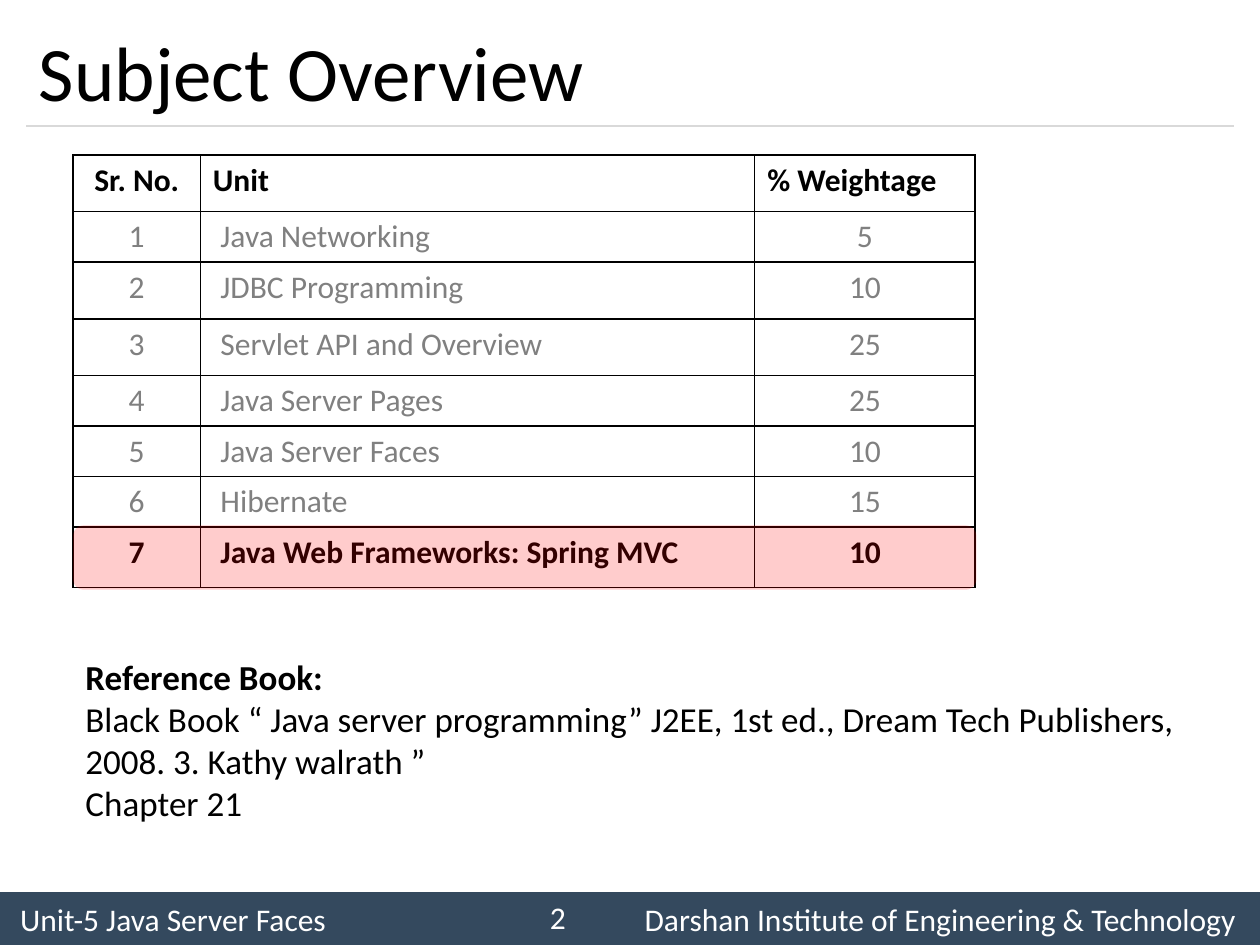
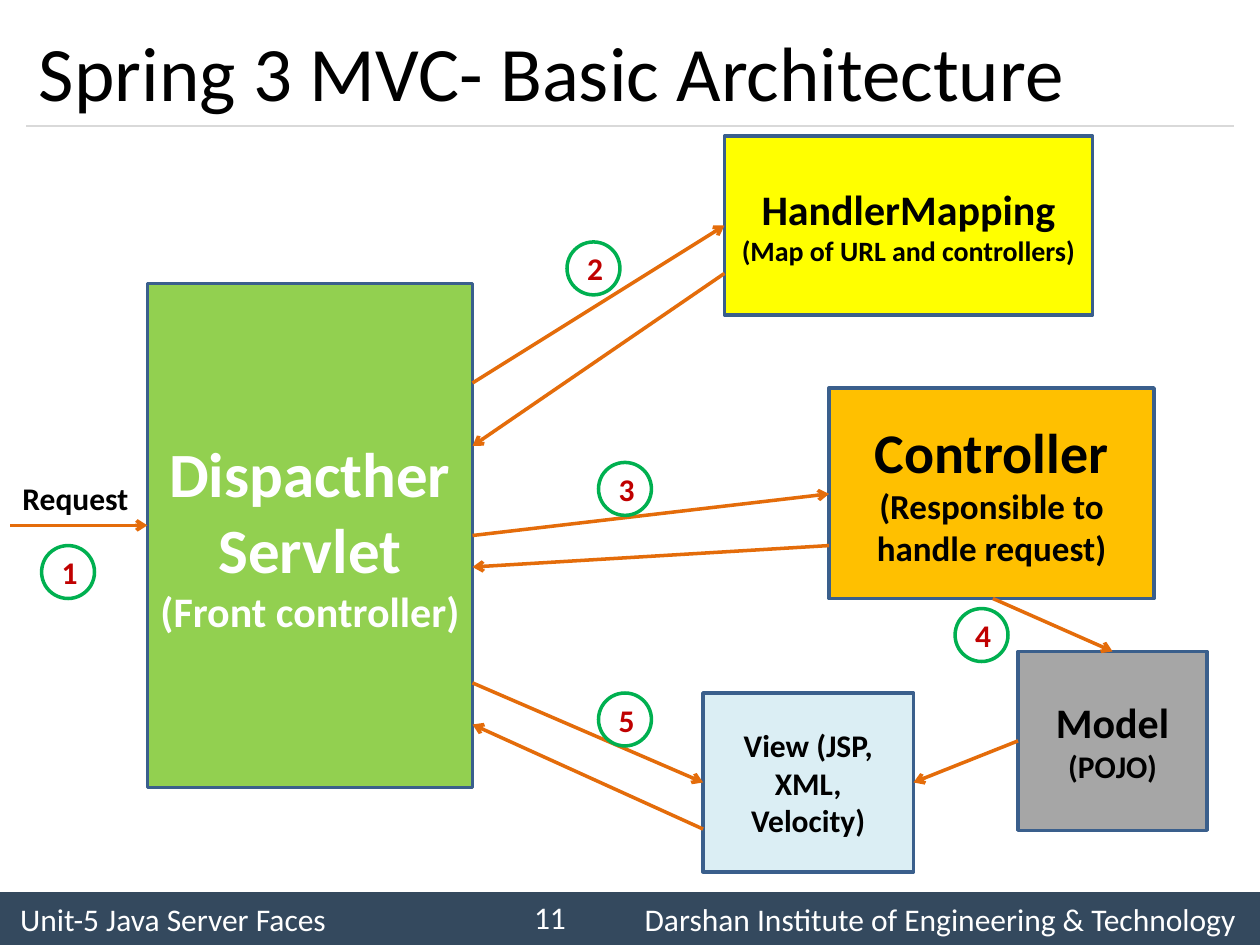
from lxml.etree import SubElement
from pptx import Presentation
from pptx.dml.color import RGBColor
from pptx.enum.shapes import MSO_CONNECTOR, MSO_SHAPE
from pptx.enum.text import MSO_ANCHOR, PP_ALIGN
from pptx.oxml.ns import qn
from pptx.util import Inches, Pt

FONT = "Calibri"
COLORS = {
    "black": "000000", "white": "FFFFFF", "muted": "808080",
    "footer": "34495E", "rule": "D9D9D9", "highlight": "FF0000",
    "outline": "3A5F8C", "arrow": "E46C0A", "ring": "00B050", "step": "C00000",
    "green": "92D050", "yellow": "FFFF00", "amber": "FFC000",
    "pale": "DBEEF4", "grey": "A6A6A6",
}
UNITS = [
    ("1", "Java Networking", "5"),
    ("2", "JDBC Programming", "10"),
    ("3", "Servlet API and Overview", "25"),
    ("4", "Java Server Pages", "25"),
    ("5", "Java Server Faces", "10"),
    ("6", "Hibernate", "15"),
    ("7", "Java Web Frameworks: Spring MVC", "10"),
]
COLUMN_WIDTHS = [1.01, 4.4, 1.75]
ROW_HEIGHTS = [0.45, 0.38, 0.45, 0.45, 0.38, 0.38, 0.38, 0.48]

# Components: left, top, width, height, fill, text colour, lines with sizes
COMPONENTS = [
    (1.17, 2.25, 2.58, 4, "green", "white",
     [("Dispacther\vServlet", 36), ("(Front controller)", 24)]),
    (5.75, 1.08, 2.92, 1.42, "yellow", "black",
     [("HandlerMapping", 24), ("(Map of URL and controllers)", 16)]),
    (6.58, 3.08, 2.58, 1.67, "amber", "black",
     [("Controller", 32), ("(Responsible to handle request)", 20)]),
    (5.58, 5.5, 1.67, 1.42, "pale", "black", [("View (JSP, XML, Velocity)", 18)]),
    (8.08, 5.17, 1.5, 1.42, "grey", "black", [("Model", 24), ("(POJO)", 18)]),
]
# Arrows: start x, start y, end x, end y
ARROWS = [
    (0.08, 4.17, 1.17, 4.17),
    (3.75, 3.04, 5.75, 1.79), (5.75, 2.17, 3.75, 3.54),
    (3.75, 4.25, 6.58, 3.92), (6.58, 4.33, 3.75, 4.5),
    (7.88, 4.75, 8.83, 5.17), (8.08, 5.88, 7.25, 6.21),
    (3.75, 5.42, 5.58, 6.21), (5.58, 6.58, 3.75, 5.75),
]
# Left and top of the step circles, in step order
STEPS = [(0.33, 4.33), (4.5, 1.92), (4.75, 3.67), (7.58, 4.83), (4.75, 5.5)]


def rgb(name):
    return RGBColor.from_string(COLORS[name])


def style(paragraph, size, color="black", bold=False, align=PP_ALIGN.LEFT):
    paragraph.alignment = align
    for span in paragraph.runs:
        span.font.name = FONT
        span.font.size = Pt(size)
        span.font.bold = bold
        span.font.color.rgb = rgb(color)


def add_text(page, area, text, size, anchor=MSO_ANCHOR.TOP, wrap=True, **look):
    box = page.shapes.add_textbox(*map(Inches, area))
    frame = box.text_frame
    frame.word_wrap = wrap
    frame.vertical_anchor = anchor
    frame.text = text
    for paragraph in frame.paragraphs:
        style(paragraph, size, **look)
    return box


def add_block(page, kind, area, fill, line=None):
    shape = page.shapes.add_shape(kind, *map(Inches, area))
    shape.shadow.inherit = False
    shape.fill.solid()
    shape.fill.fore_color.rgb = rgb(fill)
    if line:
        shape.line.color.rgb = rgb(line)
        shape.line.width = Pt(2)
    else:
        shape.line.fill.background()
    shape.text_frame.word_wrap = True
    shape.text_frame.vertical_anchor = MSO_ANCHOR.MIDDLE
    return shape


def fill_lines(shape, lines, color):
    shape.text_frame.text = "\n".join(text for text, _ in lines)
    for paragraph, (_, size) in zip(shape.text_frame.paragraphs, lines):
        style(paragraph, size, color, True, PP_ALIGN.CENTER)


def add_line(page, ends, color, width, arrow=False):
    line = page.shapes.add_connector(MSO_CONNECTOR.STRAIGHT, *map(Inches, ends))
    line.line.color.rgb = rgb(color)
    line.line.width = Pt(width)
    if arrow:
        SubElement(line.line._get_or_add_ln(), qn("a:tailEnd"), type="arrow")
    SubElement(line._element.spPr, qn("a:effectLst"))


def add_footer(page, number):
    band = add_block(page, MSO_SHAPE.RECTANGLE, (0, 7.08, 10, 0.42), "footer")
    frame = band.text_frame
    frame.margin_left = Inches(0.16)
    frame.margin_right = Inches(0.1)
    frame.text = "Unit-5 Java Server Faces\tDarshan Institute of Engineering & Technology"
    paragraph = frame.paragraphs[0]
    tabs = SubElement(paragraph._p.get_or_add_pPr(), qn("a:tabLst"))
    SubElement(tabs, qn("a:tab"), pos=str(Inches(9.65)), algn="r")
    style(paragraph, 18, "white")
    add_text(page, (3.92, 7.08, 0.67, 0.4), number, 18, MSO_ANCHOR.MIDDLE,
             color="white", align=PP_ALIGN.RIGHT)


def add_page(deck, title, number):
    page = deck.slides.add_slide(deck.slide_layouts[6])
    add_footer(page, number)
    add_line(page, (0.21, 1, 9.79, 1), "rule", 0.75)
    add_text(page, (0.21, 0.12, 9.58, 0.88), title, 44, MSO_ANCHOR.MIDDLE)
    return page


def add_borders(cell):
    properties = cell._tc.get_or_add_tcPr()
    for side in ("lnL", "lnR", "lnT", "lnB"):
        border = SubElement(properties, qn(f"a:{side}"), w=str(Pt(1)))
        solid = SubElement(border, qn("a:solidFill"))
        SubElement(solid, qn("a:srgbClr"), val=COLORS["black"])


def add_unit_table(page):
    rows = [("Sr. No.", "Unit", "% Weightage")] + UNITS
    table = page.shapes.add_table(
        len(rows), len(COLUMN_WIDTHS), Inches(0.58), Inches(1.23),
        Inches(sum(COLUMN_WIDTHS)), Inches(sum(ROW_HEIGHTS))).table
    table.horz_banding = False
    for column, width in zip(table.columns, COLUMN_WIDTHS):
        column.width = Inches(width)
    for row, height in zip(table.rows, ROW_HEIGHTS):
        row.height = Inches(height)
    for r, values in enumerate(rows):
        strong = r in (0, len(rows) - 1)
        for c, value in enumerate(values):
            cell = table.cell(r, c)
            cell.text = value
            centred = c == 0 or (c == 2 and r > 0)
            style(cell.text_frame.paragraphs[0], 18,
                  "black" if strong else "muted", strong,
                  PP_ALIGN.CENTER if centred else PP_ALIGN.LEFT)
            if c == 1 and r > 0:
                cell.margin_left = Inches(0.16)
            add_borders(cell)
            cell.fill.background()


def add_highlight(page, area, opacity):
    shape = add_block(page, MSO_SHAPE.ROUNDED_RECTANGLE, area, "highlight")
    color = shape._element.spPr.find(qn("a:solidFill"))[0]
    SubElement(color, qn("a:alpha"), val=str(opacity * 1000))


def build_overview(deck):
    page = add_page(deck, "Subject Overview", "2")
    add_unit_table(page)
    add_highlight(page, (0.58, 4.17, 7.17, 0.51), 20)
    reference = add_text(
        page, (0.58, 5.15, 9.08, 1.45),
        "Reference Book:\n"
        "Black Book “ Java server programming” J2EE, 1st ed., "
        "Dream Tech Publishers, 2008. 3. Kathy walrath ”\n"
        "Chapter 21", 20)
    style(reference.text_frame.paragraphs[0], 20, bold=True)


def build_architecture(deck):
    page = add_page(deck, "Spring 3 MVC- Basic Architecture", "11")
    for *area, fill, color, lines in COMPONENTS:
        block = add_block(page, MSO_SHAPE.RECTANGLE, area, fill, "outline")
        fill_lines(block, lines, color)
    for ends in ARROWS:
        add_line(page, ends, "arrow", 2, arrow=True)
    add_text(page, (0.08, 3.75, 1.05, 0.4), "Request", 18, wrap=False, bold=True)
    for number, (left, top) in enumerate(STEPS, 1):
        circle = add_block(page, MSO_SHAPE.OVAL, (left, top, 0.42, 0.42),
                           "white", "ring")
        fill_lines(circle, [(str(number), 18)], "step")


def main():
    deck = Presentation()
    deck.slide_width = Inches(10)
    deck.slide_height = Inches(7.5)
    build_overview(deck)
    build_architecture(deck)
    deck.save("out.pptx")


if __name__ == "__main__":
    main()
